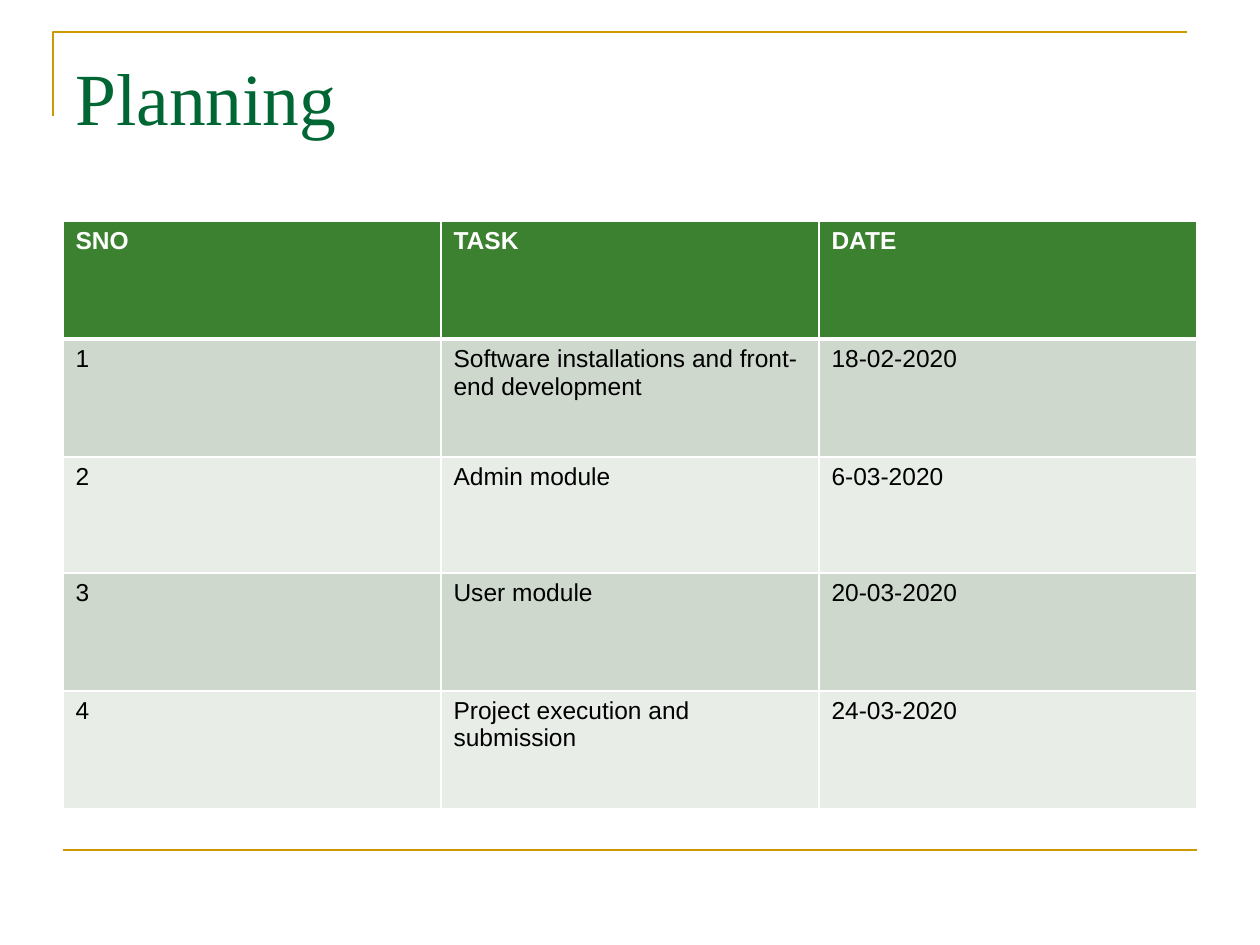
"""Build the project planning slide with its task schedule."""
from lxml import etree
from pptx import Presentation
from pptx import util as u
from pptx.dml.color import RGBColor
from pptx.enum import shapes, text
from pptx.oxml.ns import qn

PX = u.Inches(1) // 126
COLORS = {
    "gold": "CC9900", "title": "006633", "header": "3B812F",
    "odd": "CED8CD", "even": "E8EDE8", "white": "FFFFFF", "black": "000000",
}


def write(frame, words, *, size, font, color, bold=False):
    paragraph = frame.paragraphs[0]
    paragraph.alignment = text.PP_ALIGN.LEFT
    run = paragraph.add_run()
    run.text = words
    run.font.size = u.Pt(size)
    run.font.name = font
    run.font.bold = bold
    run.font.color.rgb = RGBColor.from_string(COLORS[color])


def add_border(cell, side, points):
    properties = cell._tc.get_or_add_tcPr()
    line = etree.SubElement(properties, qn(f"a:ln{side}"), w=str(u.Pt(points)))
    fill = etree.SubElement(line, qn("a:solidFill"))
    etree.SubElement(fill, qn("a:srgbClr"), val=COLORS["white"])


deck = Presentation()
deck.slide_width, deck.slide_height = 1260 * PX, 945 * PX
slide = deck.slides.add_slide(deck.slide_layouts[6])

builder = slide.shapes.build_freeform(53, 116, scale=PX)
builder.add_line_segments([(53, 32), (1187, 32)], close=False)
corner = builder.convert_to_shape()
corner.fill.background()
corner.shadow.inherit = False

footer = slide.shapes.add_connector(
    shapes.MSO_CONNECTOR.STRAIGHT, 63 * PX, 850 * PX, 1197 * PX, 850 * PX)
etree.SubElement(footer._element.spPr, qn("a:effectLst"))

for rule in (corner, footer):
    rule.line.color.rgb = RGBColor.from_string(COLORS["gold"])
    rule.line.width = u.Pt(1.5)

title = slide.shapes.add_textbox(63 * PX, 38 * PX, 1134 * PX, 158 * PX).text_frame
title.word_wrap = True
title.margin_top = 14 * PX
write(title, "Planning", size=42, font="Times New Roman", color="title")

schedule = [
    ("SNO", "TASK", "DATE"),
    ("1", "Software installations and front-end development", "18-02-2020"),
    ("2", "Admin module", "6-03-2020"),
    ("3", "User module", "20-03-2020"),
    ("4", "Project execution and submission", "24-03-2020"),
]
row_heights = [118, 118, 116, 118, 118]
grid = slide.shapes.add_table(
    len(schedule), 3, 63 * PX, 221 * PX, 1134 * PX, sum(row_heights) * PX).table
for column in grid.columns:
    column.width = 378 * PX

for index, (entries, height) in enumerate(zip(schedule, row_heights)):
    grid.rows[index].height = height * PX
    heading = index == 0
    shade = "header" if heading else "odd" if index % 2 else "even"
    borders = {"L": 1, "R": 1, "T": 3 if index == 1 else 1, "B": 3 if heading else 1}
    for cell, entry in zip(grid.rows[index].cells, entries):
        for side, points in borders.items():
            add_border(cell, side, points)
        cell.fill.solid()
        cell.fill.fore_color.rgb = RGBColor.from_string(COLORS[shade])
        write(cell.text_frame, entry, size=14, font="Arial",
              color="white" if heading else "black", bold=heading)

deck.save("out.pptx")
